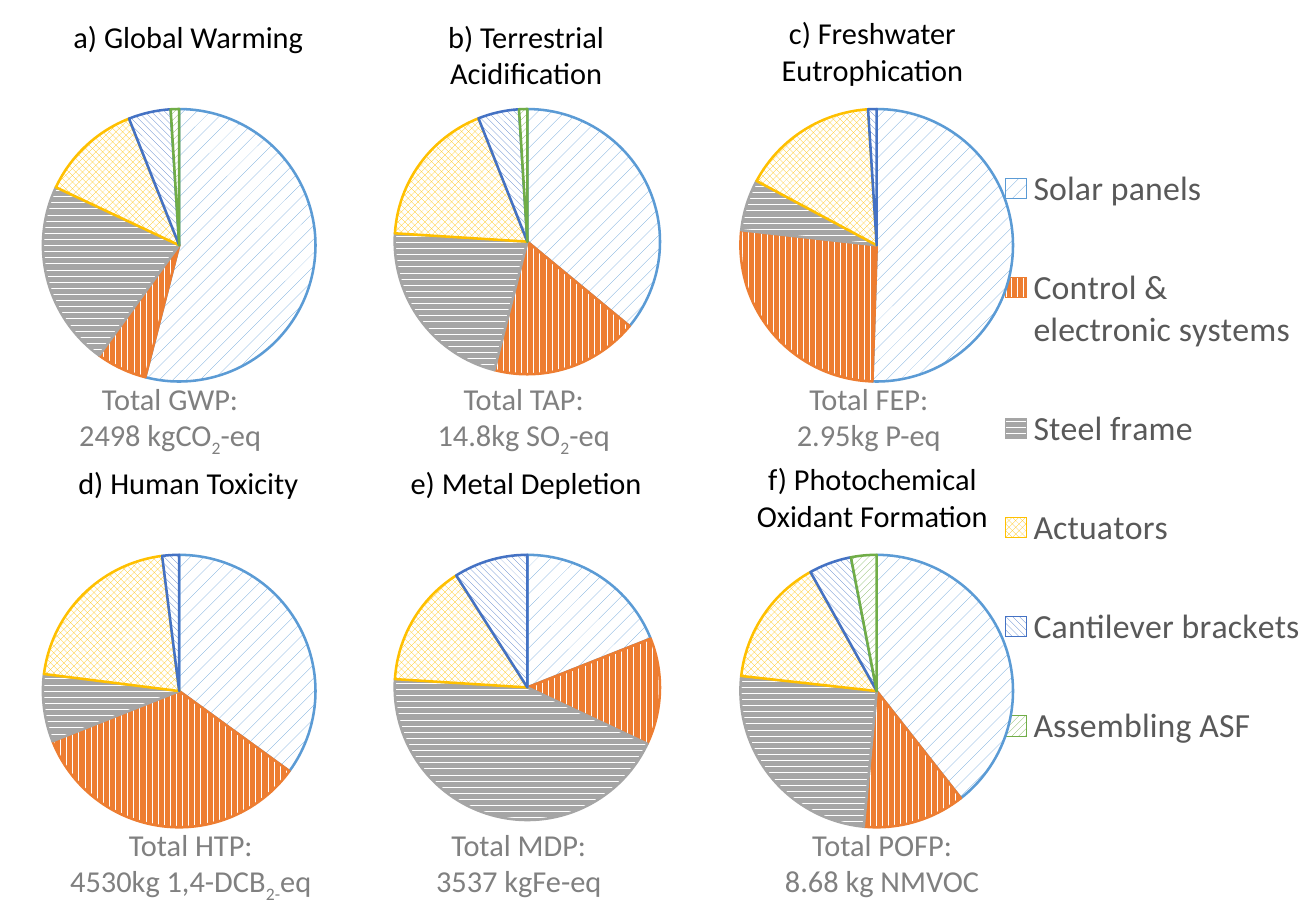
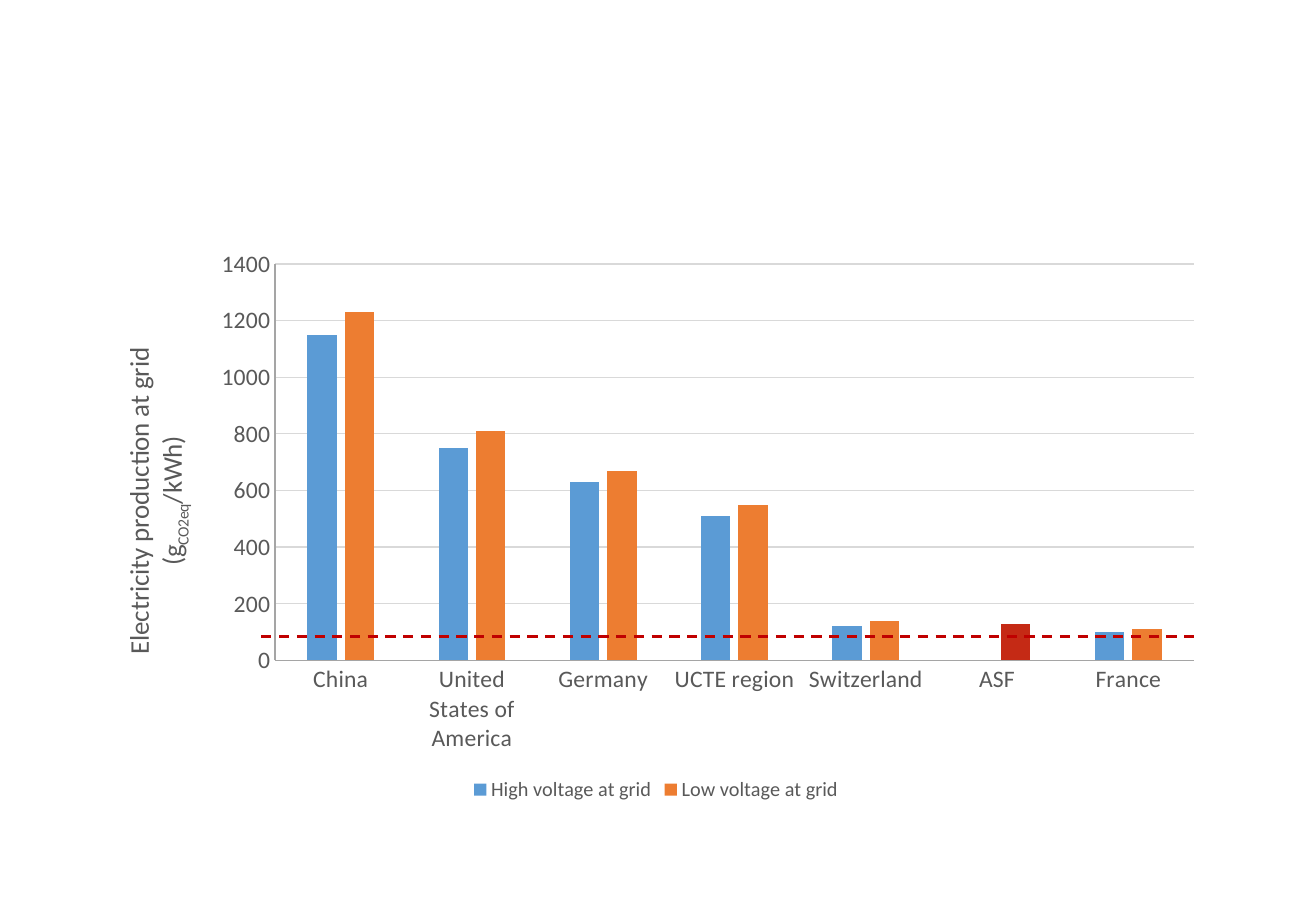
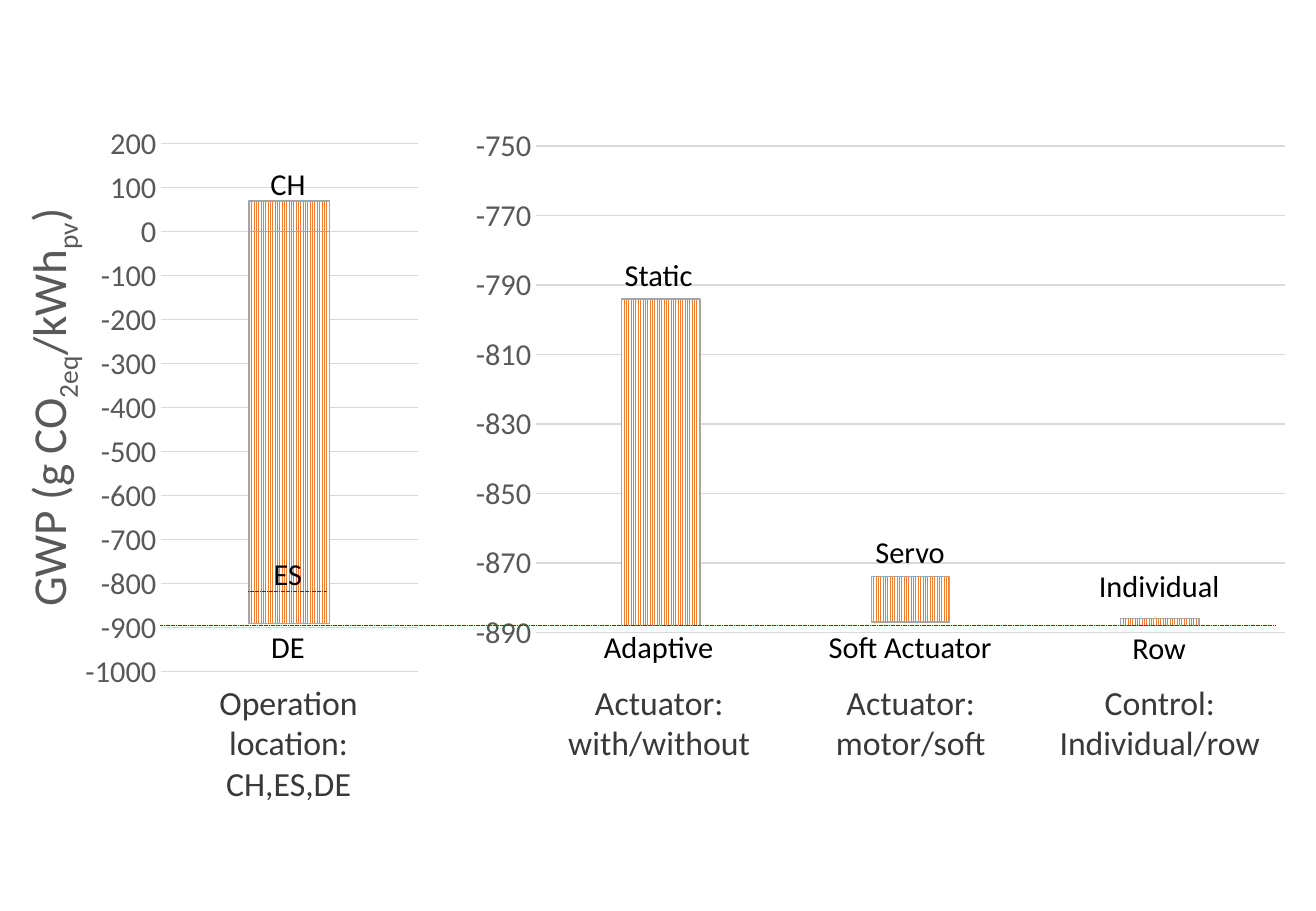
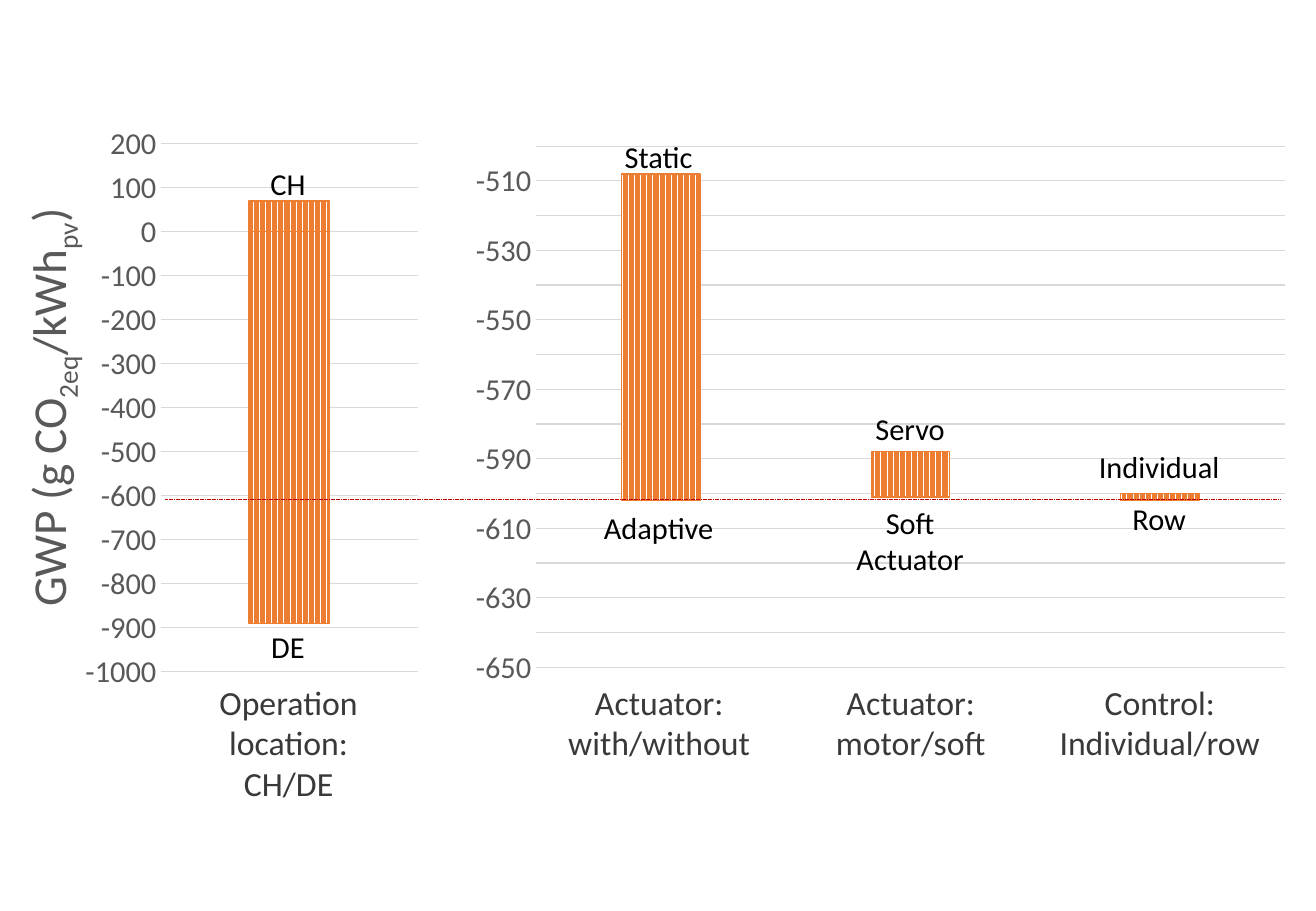
from lxml import etree
from pptx import Presentation
from pptx.chart.data import CategoryChartData
from pptx.dml.color import RGBColor
from pptx.enum.chart import XL_CHART_TYPE, XL_LEGEND_POSITION, XL_TICK_MARK
from pptx.enum.dml import MSO_LINE, MSO_PATTERN
from pptx.enum.shapes import MSO_CONNECTOR
from pptx.enum.text import MSO_AUTO_SIZE, PP_ALIGN
from pptx.oxml.ns import qn
from pptx.util import Emu, Pt

PX = 9144  # 100 px to the inch
FONT = "Calibri"

BLACK = RGBColor(0x00, 0x00, 0x00)
WHITE = RGBColor(0xFF, 0xFF, 0xFF)
GREY_TEXT = RGBColor(0x80, 0x80, 0x80)
AXIS_TEXT = RGBColor(0x59, 0x59, 0x59)
CAPTION = RGBColor(0x3B, 0x38, 0x38)
GRID = RGBColor(0xD9, 0xD9, 0xD9)
BLUE = RGBColor(0x5B, 0x9B, 0xD5)
ORANGE = RGBColor(0xED, 0x7D, 0x31)
GREY = RGBColor(0xA5, 0xA5, 0xA5)
YELLOW = RGBColor(0xFF, 0xC0, 0x00)
NAVY = RGBColor(0x44, 0x72, 0xC4)
GREEN = RGBColor(0x70, 0xAD, 0x47)
RED = RGBColor(0xC0, 0x00, 0x00)
ASF_RED = RGBColor(0xC5, 0x2A, 0x15)

# Text between tildes is set as subscript.
PARTS = [
    ("Solar panels", MSO_PATTERN.PERCENT_10, BLUE),
    ("Control & electronic systems", MSO_PATTERN.DARK_VERTICAL, ORANGE),
    ("Steel frame", MSO_PATTERN.DARK_HORIZONTAL, GREY),
    ("Actuators", MSO_PATTERN.LARGE_CHECKER_BOARD, YELLOW),
    ("Cantilever brackets", MSO_PATTERN.WIDE_DOWNWARD_DIAGONAL, NAVY),
    ("Assembling ASF", MSO_PATTERN.WIDE_UPWARD_DIAGONAL, GREEN),
]
LEGEND_SHARES = [50, 13, 20, 11, 4, 1]

# heading, shares, total, centre of the total
IMPACTS = [
    (["a) Global Warming"], [54, 6, 22, 12, 5, 1],
     ["Total GWP:", "2498 kgCO~2~-eq"], 140),
    (["b) Terrestrial", "Acidification"], [36, 18, 22, 18, 5, 1],
     ["Total TAP:", "14.8kg SO~2~-eq"], 431),
    (["c) Freshwater", "Eutrophication"], [50, 26, 6, 16, 1, 0],
     ["Total FEP:", "2.95kg P-eq"], 715),
    (["d) Human Toxicity"], [35, 34, 8, 21, 2, 0],
     ["Total HTP:", "4530kg 1,4-DCB~2-~eq"], 157),
    (["e) Metal Depletion"], [19, 13, 44, 15, 9, 0],
     ["Total MDP:", "3537 kgFe-eq"], 427),
    (["f) Photochemical", "Oxidant Formation"], [39, 12, 25, 15, 5, 3],
     ["Total POFP:", "8.68 kg NMVOC"], 726),
]
# pie left, width, height; heading centre and top
PIE_COLUMNS = [(0, 295, 252, 155, 10), (284, 300, 246, 433, 10),
               (574, 295, 252, 718, 7)]
PIE_ROW_STEP = 367

COUNTRIES = ["China", "United States of America", "Germany", "UCTE region",
             "Switzerland", "ASF", "France"]
GRID_MIX = [
    ("High voltage at grid", [1150, 750, 630, 510, 120, None, 100], BLUE),
    ("Low voltage at grid", [1230, 810, 670, 550, 140, 130, 110], ORANGE),
]
GRID_TITLE = ["Electricity production at grid", "(g~CO2eq~/kWh)"]

GWP_TITLE = ["GWP (g CO~2eq~/kWh~pv~)"]
LOCATION_VALUES = [("Series 1", [-890]), ("Series 2", [70])]
CHANGES = [-94, -13, -2]
BAR_CENTRES = [237, 542, 749, 954]
BAR_CAPTIONS = [["Actuator: with/without"], ["Actuator: motor/soft"],
                ["Control:", "Individual/row"]]
SCENARIOS = [
    dict(location="Operation location: CH,ES,DE", pattern=MSO_PATTERN.NARROW_VERTICAL,
         outline=GREY, base=[-794, -874, -886], axis=dict(low=-900, high=-750),
         lines=[(132, 1049, 515, RED), (204, 269, 487, CAPTION)],
         labels=[(0, 131, ["CH"]), (0, 512, ["DE"]), (0, 452, ["ES"]),
                 (1, 206, ["Static"]), (1, 512, ["Adaptive"]),
                 (2, 434, ["Servo"]), (2, 512, ["Soft Actuator"]),
                 (3, 462, ["Individual"]), (3, 513, ["Row"])]),
    dict(location="Operation location: CH/DE", pattern=MSO_PATTERN.DARK_VERTICAL,
         outline=ORANGE, base=[-508, -588, -600],
         axis=dict(low=-650, high=-500, major=10),
         lines=[(136, 1053, 411, RED)],
         labels=[(0, 131, ["CH"]), (0, 512, ["DE"]),
                 (1, 109, ["Static"]), (1, 414, ["Adaptive"]),
                 (2, 333, ["Servo"]), (2, 410, ["Soft", "Actuator"]),
                 (3, 364, ["Individual"]), (3, 407, ["Row"])]),
]


def px(*lengths):
    return [Emu(n * PX) for n in lengths]


def set_font(font, size, color):
    for key, value in dict(name=FONT, size=Pt(size), bold=False).items():
        setattr(font, key, value)
    font.color.rgb = color


def write(tf, lines, size, color):
    for i, line in enumerate(lines):
        p = tf.add_paragraph() if i else tf.paragraphs[0]
        p.alignment = PP_ALIGN.CENTER
        for j, piece in enumerate(line.split("~")):
            if piece:
                r = p.add_run()
                r.text = piece
                set_font(r.font, size, color)
                if j % 2:
                    r._r.get_or_add_rPr().set("baseline", "-25000")


def add_text(s, centre, top, width, lines, size=18, color=BLACK):
    height = 40 + 31 * (len(lines) - 1)
    sp = s.shapes.add_textbox(*px(centre - width // 2, top, width, height))
    tf = sp.text_frame
    tf.word_wrap = True
    tf.auto_size = MSO_AUTO_SIZE.SHAPE_TO_FIT_TEXT
    write(tf, lines, size, color)


def add_rule(s, left, right, y, color, width, dash):
    line = s.shapes.add_connector(MSO_CONNECTOR.STRAIGHT, *px(left, y, right, y))
    line.line.color.rgb = color
    line.line.width = Pt(width)
    line.line.dash_style = dash
    etree.SubElement(line._element.spPr, qn("a:effectLst"))


def add_chart(s, kind, box, categories, series):
    data = CategoryChartData()
    data.categories = categories
    for name, values in series:
        data.add_series(name, values)
    chart = s.shapes.add_chart(kind, *px(*box), data).chart
    chart.has_title = False
    chart.has_legend = False
    set_font(chart.font, 10, BLACK)
    return chart


def add_legend(chart, position, size):
    chart.has_legend = True
    chart.legend.position = position
    chart.legend.include_in_layout = False
    set_font(chart.legend.font, size, AXIS_TEXT)


def set_layout(parent, index, box, inner=False):
    """Place a plot area or legend by fractions of the chart."""
    for old in parent.findall(qn("c:layout")):
        parent.remove(old)
    layout = etree.Element(qn("c:layout"))
    manual = etree.SubElement(layout, qn("c:manualLayout"))
    settings = [("layoutTarget", "inner")] if inner else []
    settings += [("xMode", "edge"), ("yMode", "edge"), *zip("xywh", box)]
    for tag, value in settings:
        etree.SubElement(manual, qn("c:" + tag)).set("val", str(value))
    parent.insert(index, layout)


def set_plot_box(chart, box):
    set_layout(chart._chartSpace.chart.plotArea, 0, box, inner=True)


def set_pattern(fmt, pattern, color, outline, width):
    fmt.fill.patterned()
    fmt.fill.pattern = pattern
    fmt.fill.fore_color.rgb = color
    fmt.fill.back_color.rgb = WHITE
    fmt.line.color.rgb = outline
    fmt.line.width = Pt(width)


def add_pie(s, box, shares):
    names = [name for name, _, _ in PARTS]
    chart = add_chart(s, XL_CHART_TYPE.PIE, box, names, [("Series 1", shares)])
    plot = chart.plots[0]
    plot.vary_by_categories = False
    for i, (_, pattern, color) in enumerate(PARTS):
        set_pattern(plot.series[0].points[i].format, pattern, color, color, 1.5)
    return chart


def format_bars(chart, overlap):
    plot = chart.plots[0]
    plot.gap_width = 219
    plot.overlap = overlap
    plot.vary_by_categories = False
    return plot.series


def format_value_axis(chart, size, low=None, high=None, major=None):
    axis = chart.value_axis
    settings = dict(minimum_scale=low, maximum_scale=high, major_unit=major,
                    major_tick_mark=XL_TICK_MARK.NONE, has_major_gridlines=True)
    for key, value in settings.items():
        setattr(axis, key, value)
    set_font(axis.tick_labels.font, size, AXIS_TEXT)
    grid = axis.major_gridlines.format.line
    grid.color.rgb = GRID
    grid.width = Pt(0.75)
    axis.format.line.fill.background()
    return axis


def add_axis_title(axis, lines, size):
    axis.has_title = True
    write(axis.axis_title.text_frame, lines, size, AXIS_TEXT)


def build_impacts(s):
    key = add_pie(s, (435, 0, 649, 697), LEGEND_SHARES)
    set_plot_box(key, (0.04, 0.92, 0.02, 0.03))
    add_legend(key, XL_LEGEND_POSITION.RIGHT, 20)
    set_layout(key.legend._element, 1, (0.61, 0.13, 0.39, 0.82))
    for i, (heading, shares, total, total_centre) in enumerate(IMPACTS):
        row, column = divmod(i, len(PIE_COLUMNS))
        left, width, height, centre, top = PIE_COLUMNS[column]
        y = row * PIE_ROW_STEP
        add_pie(s, (left, 76 + y, width, height), shares)
        add_text(s, centre, top + y, 300, heading)
        add_text(s, total_centre, 308 + y, 270, total, color=GREY_TEXT)


def build_grid_mix(s):
    chart = add_chart(s, XL_CHART_TYPE.COLUMN_CLUSTERED, (79, 196, 922, 468),
                      COUNTRIES, [row[:2] for row in GRID_MIX])
    bars = format_bars(chart, -27)
    for series, (_, _, color) in zip(bars, GRID_MIX):
        series.format.fill.solid()
        series.format.fill.fore_color.rgb = color
    asf = bars[1].points[COUNTRIES.index("ASF")].format.fill
    asf.solid()
    asf.fore_color.rgb = ASF_RED
    add_axis_title(format_value_axis(chart, 14), GRID_TITLE, 16)
    chart.category_axis.major_tick_mark = XL_TICK_MARK.NONE
    set_font(chart.category_axis.tick_labels.font, 14, AXIS_TEXT)
    for axis in (chart.category_axis, chart.value_axis):
        axis.format.line.color.rgb = GREY
        axis.format.line.width = Pt(0.75)
    add_legend(chart, XL_LEGEND_POSITION.BOTTOM, 12)
    add_rule(s, 215, 983, 524, RED, 1.5, MSO_LINE.DASH)


def add_range_chart(s, box, plot_box, series, scenario, axis):
    categories = [str(i + 1) for i in range(len(series[0][1]))]
    chart = add_chart(s, XL_CHART_TYPE.COLUMN_STACKED, box, categories, series)
    set_plot_box(chart, plot_box)
    for bar in format_bars(chart, 100):
        set_pattern(bar.format, scenario["pattern"], ORANGE, scenario["outline"], 0.75)
    chart.category_axis.visible = False
    format_value_axis(chart, 18, **axis)
    return chart


def build_scenario(s, scenario):
    options = add_range_chart(
        s, (357, 101, 719, 472), (0.117, 0.041, 0.857, 0.909),
        [("Series 1", scenario["base"]), ("Series 2", CHANGES)],
        scenario, scenario["axis"])
    base = options.plots[0].series[0].format
    base.fill.background()
    base.line.fill.background()
    location = add_range_chart(
        s, (13, 99, 354, 472), (0.338, 0.041, 0.596, 0.921),
        LOCATION_VALUES, scenario, dict(low=-1000, major=100))
    add_axis_title(location.value_axis, GWP_TITLE, 28)
    for left, right, y, color in scenario["lines"]:
        add_rule(s, left, right, y, color, 0.25, MSO_LINE.SQUARE_DOT)
    for centre, caption in zip(BAR_CENTRES, [[scenario["location"]], *BAR_CAPTIONS]):
        add_text(s, centre, 556, 197, caption, 20, CAPTION)
    for bar, top, lines in scenario["labels"]:
        add_text(s, BAR_CENTRES[bar], top, 170, lines)


def main():
    prs = Presentation()
    prs.slide_width, prs.slide_height = px(1083, 750)
    blank = prs.slide_layouts[6]
    build_impacts(prs.slides.add_slide(blank))
    build_grid_mix(prs.slides.add_slide(blank))
    for scenario in SCENARIOS:
        build_scenario(prs.slides.add_slide(blank), scenario)
    prs.save("out.pptx")


if __name__ == "__main__":
    main()
